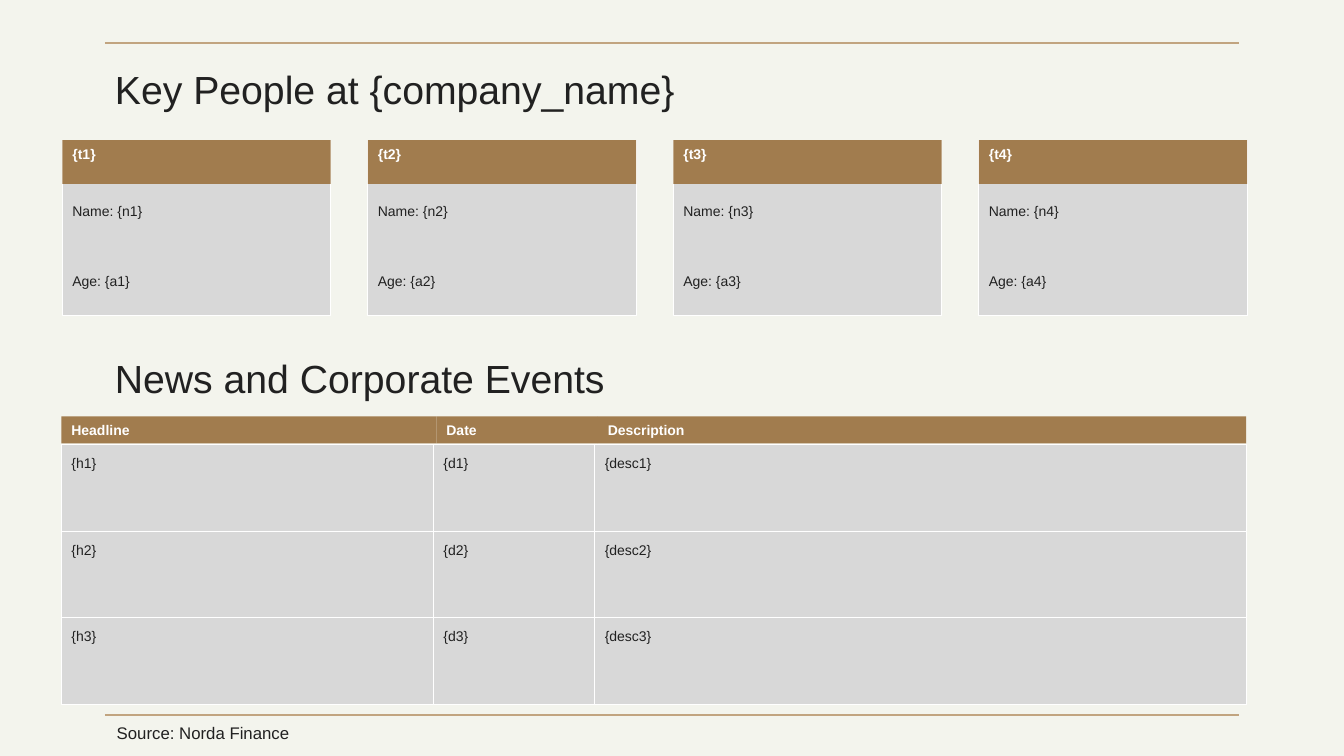
from lxml import etree
from pptx import Presentation
from pptx.dml.color import RGBColor
from pptx.enum.shapes import MSO_CONNECTOR, MSO_SHAPE
from pptx.enum.text import MSO_ANCHOR as Anchor, PP_ALIGN as Align
from pptx.oxml.ns import qn
from pptx.util import Inches, Pt

WIDTH, HEIGHT = 13.33, 7.5
MARGIN, CONTENT_WIDTH = 1.04, 11.25
INK, WHITE, BROWN, TAN, GREY, PAPER = (
    "212121", "FFFFFF", "A17C4E", "C1A480", "D8D8D8", "F3F4ED")


def color(hex_string):
    return RGBColor.from_string(hex_string)


def place(shape, box):
    shape.left, shape.top, shape.width, shape.height = map(Inches, box)


def write(shape, text, size=10, ink=INK, bold=False, inset=0.05, anchor=Anchor.TOP):
    frame = shape.text_frame
    frame.word_wrap = True
    frame.vertical_anchor = anchor
    frame.margin_left = frame.margin_right = Inches(0.1)
    frame.margin_top = frame.margin_bottom = Inches(inset)
    para = frame.paragraphs[0]
    para.text = text
    para.alignment = Align.LEFT
    para.font.name = "Arial"
    para.font.size = Pt(size)
    para.font.bold = bold
    para.font.color.rgb = color(ink)


def add_text(page, box, text, **style):
    write(page.shapes.add_textbox(*map(Inches, box)), text, **style)


def add_panel(page, box, fill, outline=None):
    panel = page.shapes.add_shape(MSO_SHAPE.RECTANGLE, *map(Inches, box))
    panel.shadow.inherit = False
    panel.fill.solid()
    panel.fill.fore_color.rgb = color(fill)
    if outline:
        panel.line.color.rgb = color(outline)
        panel.line.width = Pt(0.75)
    else:
        panel.line.fill.background()
    return panel


def add_header(page, box, text):
    write(add_panel(page, box, BROWN), text, ink=WHITE, bold=True)


def add_rule(page, y):
    rule = page.shapes.add_connector(
        MSO_CONNECTOR.STRAIGHT, Inches(MARGIN), Inches(y),
        Inches(MARGIN + CONTENT_WIDTH), Inches(y))
    rule.line.color.rgb = color(TAN)
    rule.line.width = Pt(1.5)
    etree.SubElement(rule._element.spPr, qn("a:effectLst"))


def add_person(page, box, number):
    left, top, width, height = box
    add_panel(page, box, GREY, WHITE)
    add_header(page, (left, top, width, height / 4), f"{{t{number}}}")
    add_text(page, (left, top + 0.57, width, 0.27), f"Name: {{n{number}}}")
    add_text(page, (left, top + 1.26, width, 0.27), f"Age: {{a{number}}}")


def add_people(page, box, count=4, gap=0.37):
    left, top, width, height = box
    card = (width - gap * (count - 1)) / count
    for index in range(count):
        add_person(page, (left + index * (card + gap), top, card, height), index + 1)


def add_news(page, box, rows=3, header=0.27, gap=0.01):
    left, top, width, height = box
    # Title, field prefix, header start and body start of each column
    columns = [("Headline", "h", 0, 0),
               ("Date", "d", 3.72, 3.69),
               ("Description", "desc", 5.32, 5.29)]
    head_ends = [column[2] for column in columns[1:]] + [width]
    body_ends = [column[3] for column in columns[1:]] + [width]
    body_top = top + header + gap
    row_height = (height - header - gap) / rows
    for column, head_end, body_end in zip(columns, head_ends, body_ends):
        title, prefix, head_start, body_start = column
        add_header(page, (left + head_start, top, head_end - head_start, header), title)
        for row in range(rows):
            cell = add_panel(page, (left + body_start, body_top + row * row_height,
                                    body_end - body_start, row_height), GREY, WHITE)
            write(cell, f"{{{prefix}{row + 1}}}", inset=0.1)


def build_page(deck):
    page = deck.slides.add_slide(deck.slide_layouts[5])
    page.background.fill.solid()
    page.background.fill.fore_color.rgb = color(PAPER)

    # Frame lines
    for y in (0.43, 7.09):
        add_rule(page, y)

    # Key people
    heading = dict(size=28, inset=0.1, anchor=Anchor.MIDDLE)
    place(page.shapes.title, (MARGIN, 0.53, CONTENT_WIDTH, 0.7))
    write(page.shapes.title, "Key People at {company_name}", **heading)
    add_people(page, (0.62, 1.39, 11.75, 1.74))

    # News and source
    add_text(page, (MARGIN, 3.4, CONTENT_WIDTH, 0.7),
             "News and Corporate Events", **heading)
    add_news(page, (0.61, 4.13, 11.75, 2.86))
    add_text(page, (1.06, 7.12, 4.03, 0.3), "Source: Norda Finance", size=12)


def main():
    deck = Presentation()
    deck.slide_width, deck.slide_height = Inches(WIDTH), Inches(HEIGHT)
    build_page(deck)
    deck.save("out.pptx")


if __name__ == "__main__":
    main()
